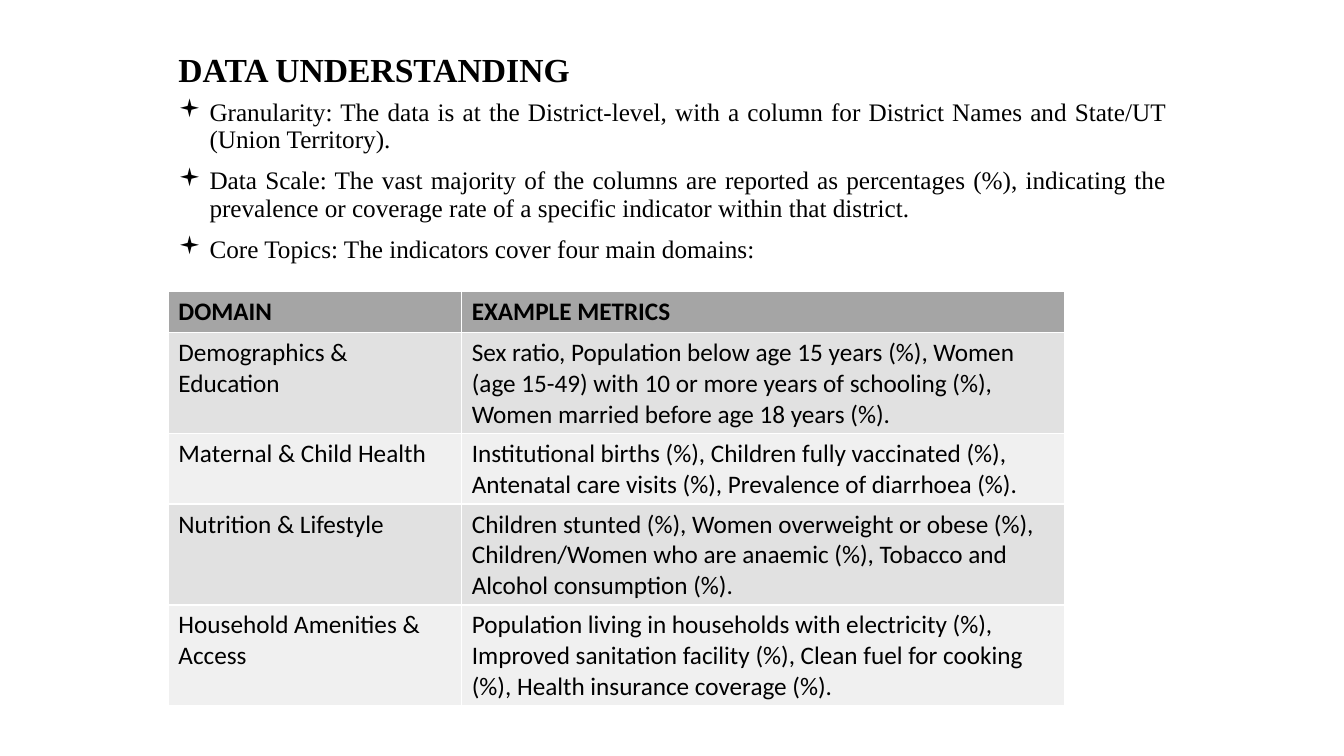
from dataclasses import dataclass

from lxml import etree
from pptx import Presentation
from pptx.dml.color import RGBColor
from pptx.enum.text import MSO_ANCHOR, MSO_AUTO_SIZE, PP_ALIGN
from pptx.oxml.ns import qn
from pptx.util import Inches, Pt

LEFT = PP_ALIGN.LEFT
JUSTIFY = PP_ALIGN.JUSTIFY
BOTTOM = MSO_ANCHOR.BOTTOM
NO_AUTOFIT = MSO_AUTO_SIZE.NONE

COLORS = {
    "text": "000000",
    "header": "A5A5A5",
    "odd_row": "E1E1E1",
    "even_row": "F0F0F0",
}
SERIF = "Times New Roman"
SANS = "Calibri"
MARGIN_LEFT = Inches(1.67)
CONTENT_WIDTH = Inches(10)
ROW_HEIGHT = Inches(0.41)
COLUMN_WIDTHS = (Inches(2.91), Inches(5.98))


@dataclass(frozen=True)
class Domain:
    name: str
    metrics: str


HEADINGS = Domain("DOMAIN", "EXAMPLE METRICS")
DOMAINS = [
    Domain(
        "Demographics & Education",
        "Sex ratio, Population below age 15 years (%), Women (age 15-49) with 10 or more "
        "years of schooling (%), Women married before age 18 years (%).",
    ),
    Domain(
        "Maternal & Child Health",
        "Institutional births (%), Children fully vaccinated (%), Antenatal care visits (%), "
        "Prevalence of diarrhoea (%).",
    ),
    Domain(
        "Nutrition & Lifestyle",
        "Children stunted (%), Women overweight or obese (%), Children/Women who are "
        "anaemic (%), Tobacco and Alcohol consumption (%).",
    ),
    Domain(
        "Household Amenities & Access",
        "Population living in households with electricity (%), Improved sanitation facility "
        "(%), Clean fuel for cooking (%), Health insurance coverage (%).",
    ),
]
DATA_NOTES = [
    "Granularity: The data is at the District-level, with a column for District Names and "
    "State/UT (Union Territory).",
    "Data Scale: The vast majority of the columns are reported as percentages (%), indicating "
    "the prevalence or coverage rate of a specific indicator within that district.",
    "Core Topics: The indicators cover four main domains:",
]


def style_font(paragraph, family: str, size: int, bold: bool = False) -> None:
    font = paragraph.font
    font.name = family
    font.size = Pt(size)
    font.bold = bold
    font.color.rgb = RGBColor.from_string(COLORS["text"])


def add_bullet(paragraph) -> None:
    properties = paragraph._p.get_or_add_pPr()
    properties.set("marL", str(Inches(0.31)))
    properties.set("indent", str(-Inches(0.31)))
    etree.SubElement(properties, qn("a:buFont")).set("typeface", "Wingdings")
    etree.SubElement(properties, qn("a:buChar")).set("char", "▪")


def write_title(slide) -> None:
    title = slide.shapes.title
    title.left, title.top = MARGIN_LEFT, Inches(0.3)
    title.width, title.height = CONTENT_WIDTH, Inches(0.64)
    frame = title.text_frame
    frame.text = "DATA UNDERSTANDING"
    frame.vertical_anchor = BOTTOM
    frame.auto_size = NO_AUTOFIT
    heading = frame.paragraphs[0]
    heading.alignment = LEFT
    heading.line_spacing = 0.9
    style_font(heading, SERIF, 24, bold=True)


def add_notes_list(slide) -> None:
    frame = slide.shapes.add_textbox(
        MARGIN_LEFT, Inches(0.94), CONTENT_WIDTH, Inches(4.77)
    ).text_frame
    frame.word_wrap = True
    frame.text = "\n".join(DATA_NOTES)
    for index, note in enumerate(frame.paragraphs):
        note.alignment = JUSTIFY
        note.line_spacing = 0.9
        if index:
            note.space_before = Pt(10)
        add_bullet(note)
        style_font(note, SERIF, 18)


def add_domain_table(slide) -> None:
    rows = [HEADINGS, *DOMAINS]
    table = slide.shapes.add_table(
        len(rows), len(COLUMN_WIDTHS), MARGIN_LEFT, Inches(2.89),
        sum(COLUMN_WIDTHS), ROW_HEIGHT * len(rows),
    ).table
    for column, width in zip(table.columns, COLUMN_WIDTHS):
        column.width = width
    for index, domain in enumerate(rows):
        is_header = index == 0
        shade = "header" if is_header else "odd_row" if index % 2 else "even_row"
        for cell, text in zip(table.rows[index].cells, (domain.name, domain.metrics)):
            cell.text = text
            cell.fill.solid()
            cell.fill.fore_color.rgb = RGBColor.from_string(COLORS[shade])
            style_font(cell.text_frame.paragraphs[0], SANS, 18, bold=is_header)


def main() -> None:
    presentation = Presentation()
    presentation.slide_width = Inches(13.33)
    presentation.slide_height = Inches(7.5)
    slide = presentation.slides.add_slide(presentation.slide_layouts[5])
    write_title(slide)
    add_notes_list(slide)
    add_domain_table(slide)
    presentation.save("out.pptx")


if __name__ == "__main__":
    main()
